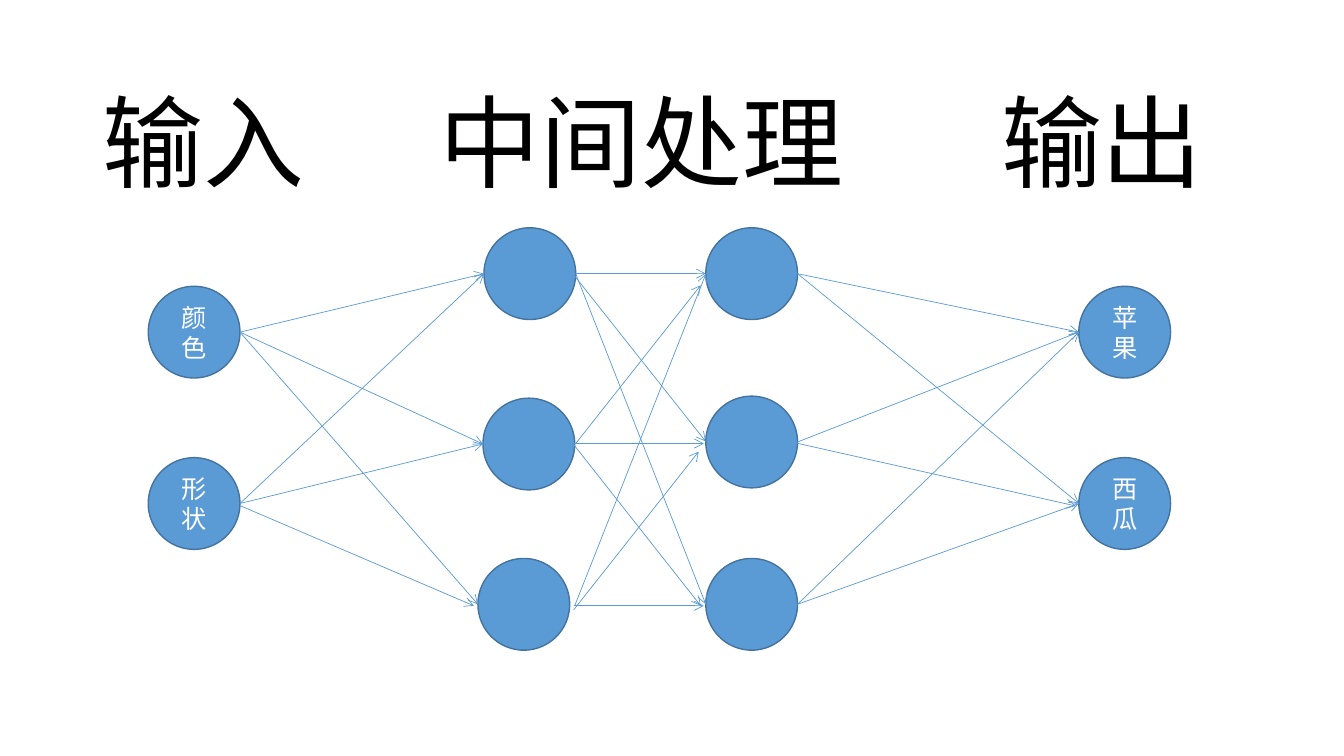
"""Build a slide showing a small neural network that sorts fruit."""
from itertools import pairwise, product

from lxml import etree
from pptx import Presentation
from pptx.dml.color import RGBColor
from pptx.enum.shapes import MSO_CONNECTOR as Connector, MSO_SHAPE as Shape
from pptx.enum.text import MSO_ANCHOR as Anchor, MSO_AUTO_SIZE as AutoSize, PP_ALIGN as Align
from pptx.oxml.ns import qn
from pptx.util import Inches, Pt

BLUE = RGBColor(0x5B, 0x9B, 0xD5)
OUTLINE = RGBColor(0x43, 0x73, 0x9E)
WHITE = RGBColor(0xFF, 0xFF, 0xFF)
BLACK = RGBColor(0, 0, 0)
FONT = "Calibri"
DIAMETER = 0.91

HEADINGS = ["输入", "中间处理", "输出"]
HEADING_TABS = [3.34, 8.91]
LAYERS = [
    [("颜色", 1.47, 2.84), ("形状", 1.47, 4.54)],
    [("", 4.8, 2.26), ("", 4.79, 3.95), ("", 4.74, 5.54)],
    [("", 7, 2.26), ("", 7, 3.93), ("", 7, 5.54)],
    [("苹果", 10.7, 2.84), ("西瓜", 10.7, 4.54)],
]
ADJUSTED_LINKS = {
    (0, 1, 2): (2.39, 5.02, 4.7, 6.01),
    (1, 0, 1): (5.55, 2.55, 7, 4.38),
    (1, 1, 0): (5.71, 4.4, 6.95, 2.83),
    (1, 1, 1): (5.69, 4.4, 6.98, 4.4),
    (1, 1, 2): (5.5, 4.17, 6.95, 6.01),
    (1, 2, 0): (5.7, 6.01, 7, 2.72),
    (1, 2, 1): (5.69, 6.05, 6.93, 4.48),
    (1, 2, 2): (5.69, 6.01, 6.98, 6.01),
    (2, 1, 1): (7.83, 4.38, 10.67, 5.02),
}


def add_span(para, text, size, color):
    span = para.add_run()
    span.text = text
    span.font.name = FONT
    span.font.size = Pt(size)
    span.font.color.rgb = color


def add_node(page, label, left, top):
    node = page.shapes.add_shape(
        Shape.OVAL, Inches(left), Inches(top), Inches(DIAMETER), Inches(DIAMETER))
    node.shadow.inherit = False
    node.fill.solid()
    node.fill.fore_color.rgb = BLUE
    node.line.color.rgb = OUTLINE
    node.line.width = Pt(1)
    if label:
        frame = node.text_frame
        frame.word_wrap = True
        frame.vertical_anchor = Anchor.MIDDLE
        para = frame.paragraphs[0]
        para.alignment = Align.CENTER
        add_span(para, label, 18, WHITE)


def add_arrow(page, ends):
    arrow = page.shapes.add_connector(Connector.STRAIGHT, *map(Inches, ends))
    arrow.line.color.rgb = BLUE
    arrow.line.width = Pt(0.5)
    properties = arrow.element.spPr
    etree.SubElement(properties.find(qn("a:ln")), qn("a:tailEnd"), type="arrow")
    etree.SubElement(properties, qn("a:effectLst"))


def add_headings(page):
    box = page.shapes.add_textbox(Inches(0.47), Inches(0.74), Inches(12.53), Inches(1.31))
    frame = box.text_frame
    frame.word_wrap = True
    frame.auto_size = AutoSize.SHAPE_TO_FIT_TEXT
    frame.margin_left = Inches(0.55)
    para = frame.paragraphs[0]
    tabs = etree.SubElement(para._p.get_or_add_pPr(), qn("a:tabLst"))
    for position in HEADING_TABS:
        etree.SubElement(tabs, qn("a:tab"), pos=str(Inches(position)), algn="l")
    add_span(para, "\t".join(HEADINGS), 72, BLACK)


def main():
    deck = Presentation()
    deck.slide_width, deck.slide_height = Inches(13.33), Inches(7.5)
    page = deck.slides.add_slide(deck.slide_layouts[6])
    for layer in LAYERS:
        for node in layer:
            add_node(page, *node)
    radius = DIAMETER / 2
    for stage, (sources, targets) in enumerate(pairwise(LAYERS)):
        for (i, source), (j, target) in product(enumerate(sources), enumerate(targets)):
            edges = (source[1] + DIAMETER, source[2] + radius, target[1], target[2] + radius)
            add_arrow(page, ADJUSTED_LINKS.get((stage, i, j), edges))
    add_headings(page)
    deck.save("out.pptx")


if __name__ == "__main__":
    main()
